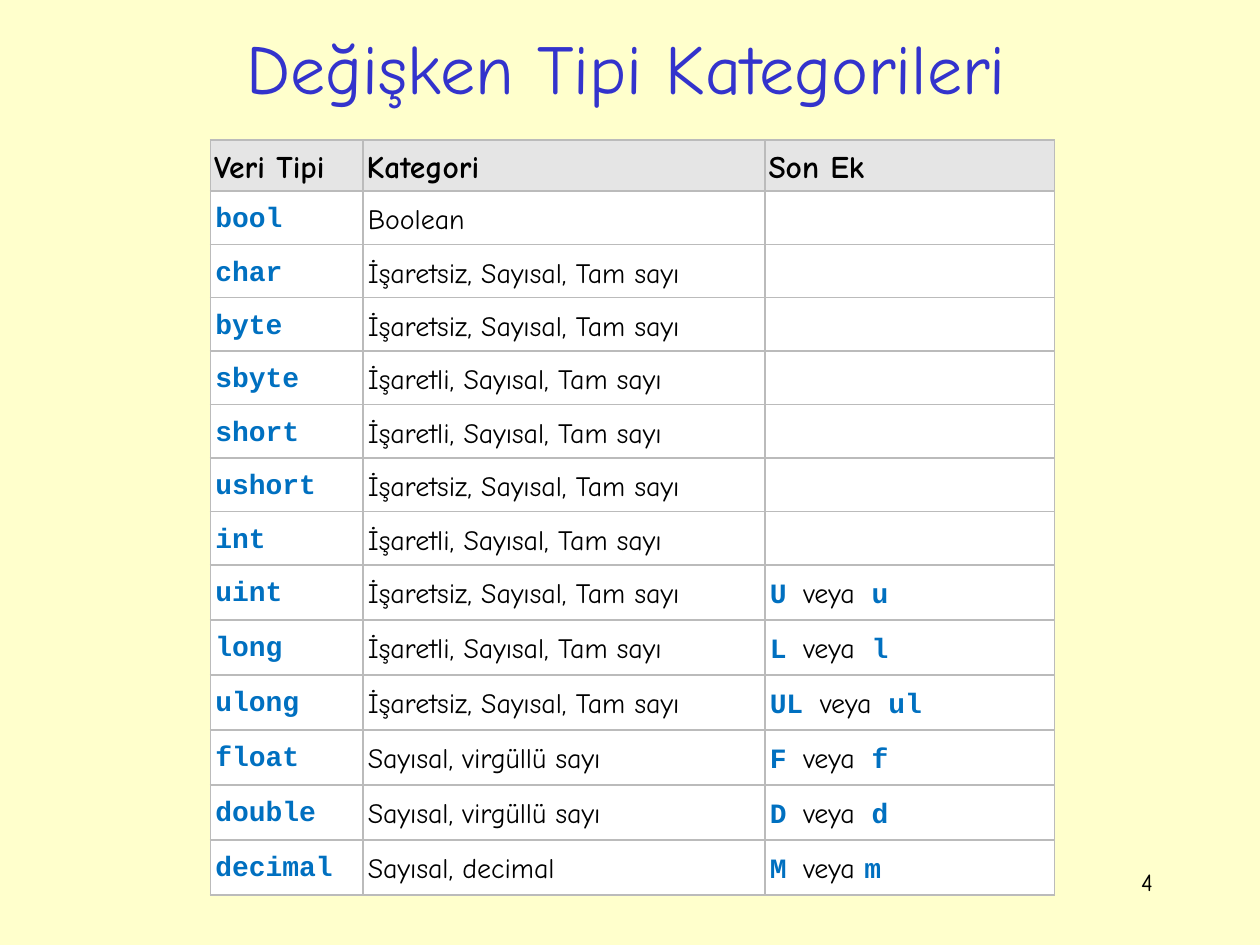
from lxml.etree import SubElement
from pptx import Presentation
from pptx.dml.color import RGBColor
from pptx.enum.text import MSO_ANCHOR, PP_ALIGN
from pptx.oxml.ns import qn
from pptx.util import Inches, Pt

WIDTH, HEIGHT = 10, 7.5
GRID_COLUMNS, GRID_ROWS = 100, 75
COLORS = {
    "background": "FFFFCC",
    "title": "3333CC",
    "text": "000000",
    "code": "0070C0",
    "header": "E5E5E5",
    "body": "FFFFFF",
    "border": "BBBBBB",
}
FORMATS = {
    "title": {"size": Pt(40), "name": "Comic Neue", "color": "title"},
    "number": {"size": Pt(14), "name": "Comic Neue", "color": "text"},
    "header": {"size": Pt(18), "name": "Comic Neue", "bold": True, "color": "text"},
    "text": {"size": Pt(16), "name": "Comic Neue", "bold": False, "color": "text"},
    "code": {"size": Pt(16), "name": "Courier New", "bold": True, "color": "code"},
}
HEADER_CELL = {
    "margin_left": Inches(0.03), "margin_right": Inches(0.03),
    "margin_top": Inches(0.03), "margin_bottom": Inches(0.03),
    "vertical_anchor": MSO_ANCHOR.MIDDLE,
}
BODY_CELL = {
    "margin_left": Inches(0.04), "margin_right": Inches(0.03),
    "margin_top": Inches(0.07), "margin_bottom": Inches(0.03),
}
HEADER_PARAGRAPH = {"line_spacing": 1.15, "space_after": Pt(10)}
BODY_PARAGRAPH = {"line_spacing": 1.15}

UNSIGNED = "İşaretsiz, Sayısal, Tam sayı"
SIGNED = "İşaretli, Sayısal, Tam sayı"
FLOATING = "Sayısal, virgüllü sayı"
HEADINGS = ["Veri Tipi", "Kategori", "Son Ek"]
DATA_TYPES = [
    ("bool", "Boolean", ()),
    ("char", UNSIGNED, ()),
    ("byte", UNSIGNED, ()),
    ("sbyte", SIGNED, ()),
    ("short", SIGNED, ()),
    ("ushort", UNSIGNED, ()),
    ("int", SIGNED, ()),
    ("uint", UNSIGNED, ("U ", "veya", " u")),
    ("long", SIGNED, ("L ", "veya", " l")),
    ("ulong", UNSIGNED, ("UL ", "veya", " ul")),
    ("float", FLOATING, ("F ", "veya", " f")),
    ("double", FLOATING, ("D ", "veya", " d")),
    ("decimal", "Sayısal, decimal", ("M ", "veya ", "m")),
]
COLUMN_WEIGHTS = [1.21, 3.19, 2.3]
HEADER_ROW = 4
PLAIN_ROW = 29.7 / 7
SUFFIX_ROW = 26.2 / 6
ROW_HEIGHTS = [HEADER_ROW] + [
    SUFFIX_ROW if suffixes else PLAIN_ROW for _, _, suffixes in DATA_TYPES
]


def grid_x(columns):
    return Inches(WIDTH * columns / GRID_COLUMNS)


def grid_y(rows):
    return Inches(HEIGHT * rows / GRID_ROWS)


def grid_box(left, top, width, height):
    return grid_x(left), grid_y(top), grid_x(width), grid_y(height)


def set_attributes(target, values):
    for name, value in values.items():
        setattr(target, name, value)


def add_run(paragraph, text, style):
    run = paragraph.add_run()
    run.text = text
    values = dict(FORMATS[style])
    run.font.color.rgb = RGBColor.from_string(COLORS[values.pop("color")])
    set_attributes(run.font, values)


def add_text(slide, box, text, style, alignment, anchor):
    shape = slide.shapes.add_textbox(*box)
    set_attributes(shape.text_frame, {"word_wrap": True, "vertical_anchor": anchor})
    paragraph = shape.text_frame.paragraphs[0]
    paragraph.alignment = alignment
    add_run(paragraph, text, style)


def add_borders(cell):
    properties = cell._tc.get_or_add_tcPr()
    for position, side in enumerate(("lnL", "lnR", "lnT", "lnB")):
        line = properties.makeelement(qn(f"a:{side}"), {"w": str(Pt(1))})
        fill = SubElement(line, qn("a:solidFill"))
        SubElement(fill, qn("a:srgbClr"), val=COLORS["border"])
        properties.insert(position, line)


def fill_cell(cell, runs, background, cell_format, paragraph_format):
    cell.fill.solid()
    cell.fill.fore_color.rgb = RGBColor.from_string(COLORS[background])
    add_borders(cell)
    if runs:
        set_attributes(cell, cell_format)
        paragraph = cell.text_frame.paragraphs[0]
        set_attributes(paragraph, paragraph_format)
        for text, style in runs:
            add_run(paragraph, text, style)


def add_type_table(slide, box):
    left, top, width, height = box
    table = slide.shapes.add_table(
        len(ROW_HEIGHTS), len(HEADINGS), left, top, width, height
    ).table
    set_attributes(table, {"first_row": False, "horz_banding": False})
    for column, weight in zip(table.columns, COLUMN_WEIGHTS):
        column.width = int(width * weight / sum(COLUMN_WEIGHTS))
    for row, row_height in zip(table.rows, ROW_HEIGHTS):
        row.height = grid_y(row_height)
    for column, heading in enumerate(HEADINGS):
        fill_cell(table.cell(0, column), [(heading, "header")],
                  "header", HEADER_CELL, HEADER_PARAGRAPH)
    for row, (keyword, category, suffixes) in enumerate(DATA_TYPES, 1):
        suffix_runs = list(zip(suffixes, ("code", "text", "code")))
        contents = [[(keyword, "code")], [(category, "text")], suffix_runs]
        for column, runs in enumerate(contents):
            fill_cell(table.cell(row, column), runs, "body", BODY_CELL, BODY_PARAGRAPH)


def build_slide(presentation):
    slide = presentation.slides.add_slide(presentation.slide_layouts[6])
    fill = slide.background.fill
    fill.solid()
    fill.fore_color.rgb = RGBColor.from_string(COLORS["background"])
    add_text(slide, grid_box(7.2, 1.5, 85, 7.6), "Değişken Tipi Kategorileri",
             "title", PP_ALIGN.CENTER, MSO_ANCHOR.MIDDLE)
    add_text(slide, grid_box(71.7, 68.3, 20.8, 5), "4",
             "number", PP_ALIGN.RIGHT, MSO_ANCHOR.TOP)
    add_type_table(slide, grid_box(16.7, 11.1, 67, sum(ROW_HEIGHTS)))


def main():
    presentation = Presentation()
    set_attributes(presentation, {
        "slide_width": Inches(WIDTH), "slide_height": Inches(HEIGHT),
    })
    build_slide(presentation)
    presentation.save("out.pptx")


if __name__ == "__main__":
    main()
